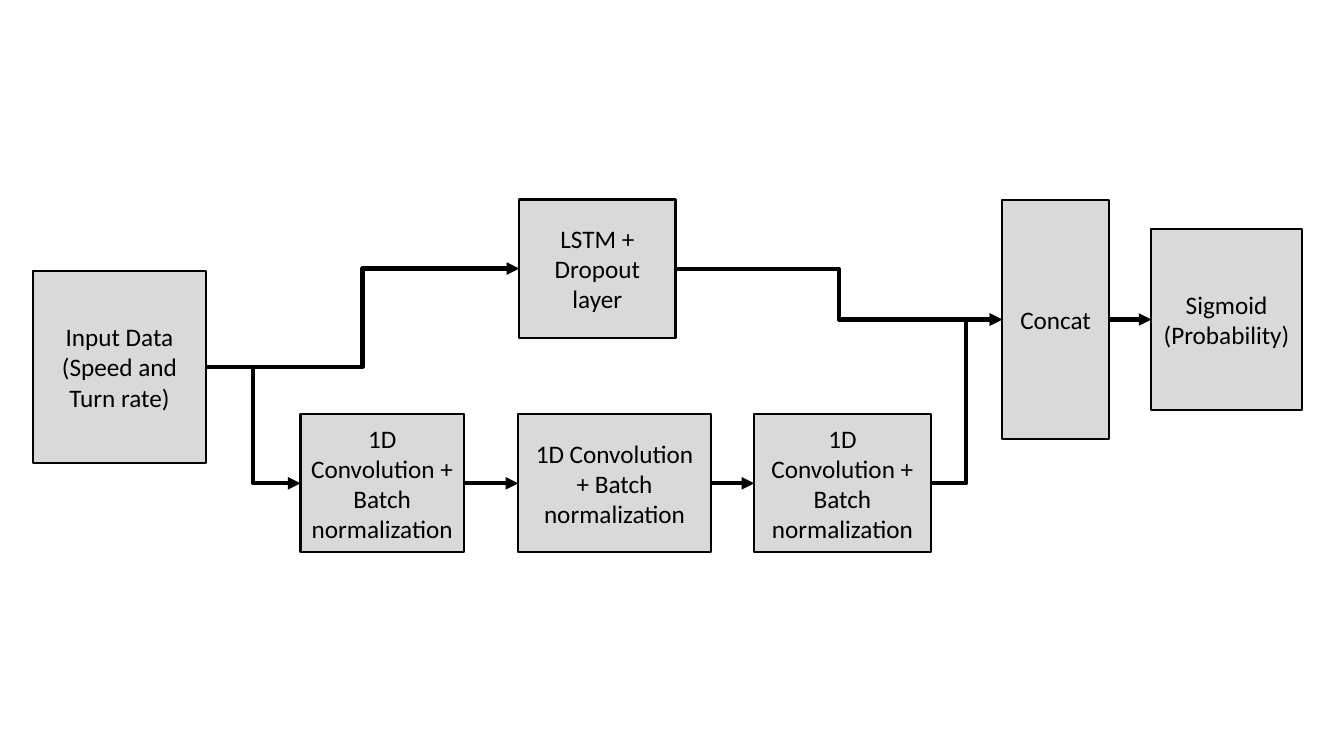
from pptx import Presentation
from pptx.dml.color import RGBColor
from pptx.enum.shapes import MSO_CONNECTOR, MSO_SHAPE
from pptx.enum.text import MSO_ANCHOR, PP_ALIGN
from pptx.oxml.ns import qn
from pptx.util import Inches, Pt
from lxml import etree

RECT = MSO_SHAPE.RECTANGLE
ELBOW, LINE = MSO_CONNECTOR.ELBOW, MSO_CONNECTOR.STRAIGHT
MIDDLE, CENTER = MSO_ANCHOR.MIDDLE, PP_ALIGN.CENTER
LEFT, RIGHT = 1, 3
COLORS = {"ink": "000000", "box": "D9D9D9", "panel": "FFFFFF"}


class Flow:
    font, size = "Calibri", Pt(18)

    def __init__(self, slide):
        self.slide = slide

    def color(self, name):
        return RGBColor.from_string(COLORS[name])

    def rect(self, area, fill, line, width):
        shape = self.slide.shapes.add_shape(RECT, *map(Inches, area))
        shape.shadow.inherit = False
        shape.fill.solid()
        shape.fill.fore_color.rgb = self.color(fill)
        shape.line.color.rgb = self.color(line)
        shape.line.width = Pt(width)
        return shape

    def box(self, text, *area):
        shape = self.rect(area, "box", "ink", 1.5)
        frame = shape.text_frame
        frame.word_wrap = True
        frame.vertical_anchor = MIDDLE
        para = frame.paragraphs[0]
        para.alignment = CENTER
        run = para.add_run()
        run.text = text
        run.font.name, run.font.size = self.font, self.size
        run.font.color.rgb = self.color("ink")
        return shape

    def arrow(self, start, end, kind=LINE):
        link = self.slide.shapes.add_connector(kind, 0, 0, 0, 0)
        link.begin_connect(start, RIGHT)
        link.end_connect(end, LEFT)
        link.line.color.rgb = self.color("ink")
        link.line.width = Pt(3)
        props = link.line._get_or_add_ln()
        etree.SubElement(props, qn("a:tailEnd"), type="triangle")
        etree.SubElement(link._element.spPr, qn("a:effectLst"))


def main():
    deck = Presentation()
    deck.slide_width, deck.slide_height = Inches(13.33), Inches(7.5)
    flow = Flow(deck.slides.add_slide(deck.slide_layouts[6]))

    # Backing panel
    flow.rect((0.1, 1.01, 12.94, 5.19), "panel", "panel", 1)

    # Input and recurrent branch
    data = flow.box("Input Data (Speed and Turn rate)", 0.33, 2.69, 1.71, 1.9)
    lstm = flow.box("LSTM + Dropout layer", 5.15, 1.98, 1.55, 1.37)

    # Convolution branch
    convs = [flow.box("1D Convolution + Batch normalization", x, 4.11, w, 1.37)
             for x, w in ((2.98, 1.62), (5.14, 1.91), (7.48, 1.75))]

    # Merge and output
    concat = flow.box("Concat", 9.94, 1.98, 1.06, 2.38)
    output = flow.box("Sigmoid (Probability)", 11.42, 2.27, 1.49, 1.8)

    # Arrows
    for start, end in ((data, lstm), (lstm, concat),
                       (data, convs[0]), (convs[-1], concat)):
        flow.arrow(start, end, ELBOW)
    for start, end in (*zip(convs, convs[1:]), (concat, output)):
        flow.arrow(start, end)

    deck.save("out.pptx")


if __name__ == "__main__":
    main()
